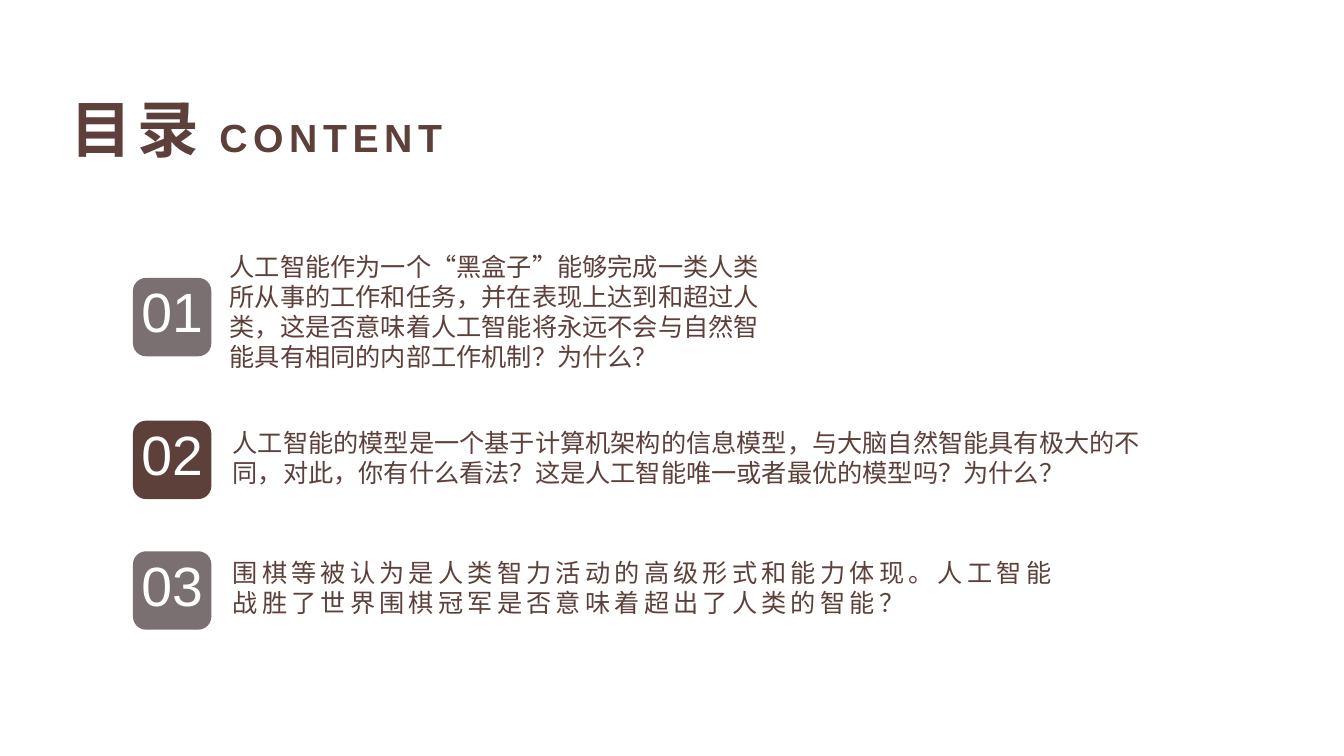
from pptx import Presentation
from pptx.dml.color import RGBColor
from pptx.enum.shapes import MSO_SHAPE
from pptx.enum.text import MSO_ANCHOR, PP_ALIGN
from pptx.oxml.ns import qn
from pptx.util import Pt
from lxml import etree

ROUNDED = MSO_SHAPE.ROUNDED_RECTANGLE
MIDDLE = MSO_ANCHOR.MIDDLE
CENTER = PP_ALIGN.CENTER
BROWN = "5D403A"
GRAY = "7A6F71"
WHITE = "FFFFFF"
CHINESE_FONT = "Noto Sans CJK SC"


def color(value):
    return RGBColor.from_string(value)


def add_run(paragraph, text, size, fill, font="Arial", bold=False, spacing=0):
    run = paragraph.add_run()
    run.text = text
    run.font.size = Pt(size)
    run.font.bold = bold
    run.font.color.rgb = color(fill)
    run.font.name = font
    properties = run.font._element
    properties.set("lang", "zh-CN")
    if spacing:
        properties.set("spc", str(spacing * 100))
    east_asian = etree.SubElement(properties, qn("a:ea"))
    east_asian.set("typeface", CHINESE_FONT)


presentation = Presentation()
presentation.slide_width = Pt(960)
presentation.slide_height = Pt(540)
slide = presentation.slides.add_slide(presentation.slide_layouts[6])

title = slide.shapes.add_textbox(Pt(43.2), Pt(61.2), Pt(480), Pt(60.5))
title.text_frame.word_wrap = True
paragraph = title.text_frame.paragraphs[0]
add_run(paragraph, "目录", 44, BROWN, bold=True, spacing=4)
add_run(paragraph, " CONTENT", 28, BROWN, bold=True, spacing=4)

questions = [
    (198.5, GRAY, (157, 175.7, 393.8, 116.6), "Noto Sans Mono", 0,
     "人工智能作为一个“黑盒子”能够完成一类人类所从事的工作和任务，并在表现上达到和超过人类，"
     "这是否意味着人工智能将永远不会与自然智能具有相同的内部工作机制？为什么？"),
    (300.5, BROWN, (159.1, 301.7, 677.5, 72.7), "Arial", 0,
     "人工智能的模型是一个基于计算机架构的信息模型，与大脑自然智能具有极大的不同，对此，"
     "你有什么看法？这是人工智能唯一或者最优的模型吗？为什么？"),
    (393.8, GRAY, (159.1, 394.6, 619.9, 72.7), CHINESE_FONT, 3,
     "围棋等被认为是人类智力活动的高级形式和能力体现。"
     "人工智能战胜了世界围棋冠军是否意味着超出了人类的智能？"),
]

for number, (top, fill, box, font, spacing, question) in enumerate(questions, 1):
    badge = slide.shapes.add_shape(ROUNDED, Pt(95), Pt(top), Pt(56), Pt(56))
    badge.shadow.inherit = False
    badge.fill.solid()
    badge.fill.fore_color.rgb = color(fill)
    badge.line.fill.background()
    frame = badge.text_frame
    frame.word_wrap = False
    frame.vertical_anchor = MIDDLE
    frame.margin_left = frame.margin_right = Pt(9.4)
    frame.margin_top = frame.margin_bottom = Pt(5)
    paragraph = frame.paragraphs[0]
    paragraph.alignment = CENTER
    paragraph.line_spacing = 0.8
    add_run(paragraph, f"{number:02d}", 39.5, WHITE)

    text_box = slide.shapes.add_textbox(*map(Pt, box))
    text_box.text_frame.word_wrap = True
    add_run(text_box.text_frame.paragraphs[0], question, 18, BROWN, font, spacing=spacing)

presentation.save("out.pptx")
